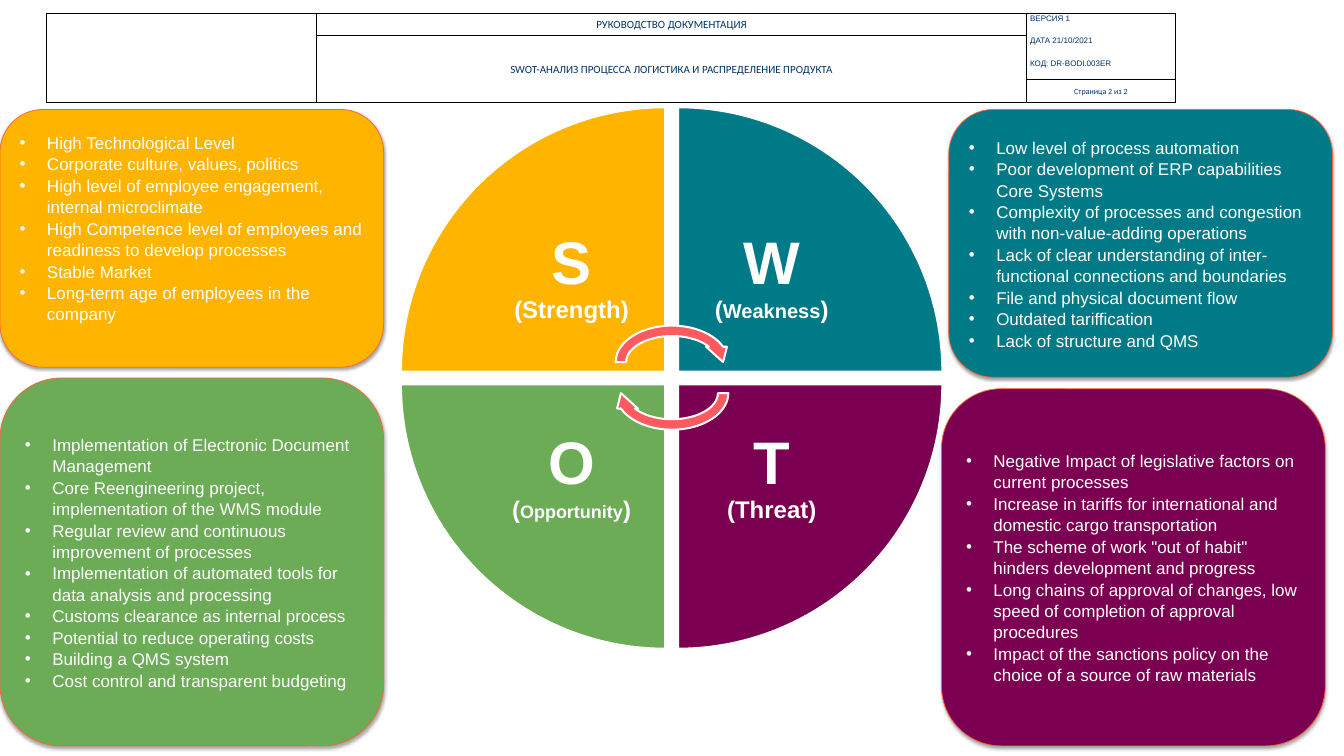
"""Build a SWOT slide: a four-part wheel, four lists and a document header table."""
from lxml import etree
from pptx import Presentation
from pptx.dml.color import RGBColor
from pptx.enum.shapes import MSO_SHAPE
from pptx.enum.text import MSO_ANCHOR, PP_ALIGN
from pptx.oxml.ns import qn
from pptx.util import Inches, Pt

WEDGE, ARROW, ROUNDED = MSO_SHAPE.PIE_WEDGE, MSO_SHAPE.CIRCULAR_ARROW, MSO_SHAPE.ROUNDED_RECTANGLE
TOP, MIDDLE = MSO_ANCHOR.TOP, MSO_ANCHOR.MIDDLE
LEFT, CENTER = PP_ALIGN.LEFT, PP_ALIGN.CENTER
WHITE = RGBColor(0xFF, 0xFF, 0xFF)
YELLOW = RGBColor(0xFF, 0xB4, 0x00)
TEAL = RGBColor(0x00, 0x7A, 0x87)
PURPLE = RGBColor(0x7B, 0x00, 0x51)
GREEN = RGBColor(0x6C, 0xAC, 0x57)
CORAL = RGBColor(0xFF, 0x5A, 0x5F)
ORANGE = RGBColor(0xFE, 0x63, 0x36)
NAVY = RGBColor(0x00, 0x33, 0x66)

QUADRANTS = [
    dict(color=YELLOW, column=0, row=0, angle=0, letter="S", word="Strength", size=24,
         panel=(0, 1.52, 5.33, 3.58), bottom_inset=0.34, items=[
             "High Technological Level",
             "Corporate culture, values, politics",
             "High level of employee engagement, internal microclimate",
             "High Competence level of employees and readiness to develop processes",
             "Stable Market",
             "Long-term age of employees in the company"]),
    dict(color=TEAL, column=1, row=0, angle=90, letter="W", word="Weakness", size=20,
         panel=(13.18, 1.52, 5.33, 3.72), bottom_inset=0.05, items=[
             "Low level of process automation",
             "Poor development of ERP capabilities Core Systems",
             "Complexity of processes and congestion with non-value-adding operations",
             "Lack of clear understanding of inter-functional connections and boundaries",
             "File and physical document flow",
             "Outdated tariffication",
             "Lack of structure and QMS"]),
    dict(color=PURPLE, column=1, row=1, angle=180, letter="T", word="Threat", size=24,
         panel=(13.08, 5.4, 5.33, 4.96), bottom_inset=0.05, items=[
             "Negative Impact of legislative factors on current processes",
             "Increase in tariffs for international and domestic cargo transportation",
             'The scheme of work "out of habit" hinders development and progress',
             "Long chains of approval of changes, low speed of completion of approval procedures",
             "Impact of the sanctions policy on the choice of a source of raw materials"]),
    dict(color=GREEN, column=0, row=1, angle=270, letter="O", word="Opportunity", size=18,
         panel=(0, 5.25, 5.33, 5.11), bottom_inset=0.05, items=[
             "Implementation of Electronic Document Management",
             "Core Reengineering project, implementation of the WMS module",
             "Regular review and continuous improvement of processes",
             "Implementation of automated tools for data analysis and processing",
             "Customs clearance as internal process",
             "Potential to reduce operating costs",
             "Building a QMS system",
             "Cost control and transparent budgeting"]),
]
HEADER_COLUMNS = [3.75, 9.86, 2.07]
HEADER_ROW = 0.31
HEADER_TEXTS = {
    (0, 1): ("РУКОВОДСТВО ДОКУМЕНТАЦИЯ", 11, "Calibri", CENTER, MIDDLE),
    (1, 1): ("SWOT-АНАЛИЗ ПРОЦЕССА ЛОГИСТИКА И РАСПРЕДЕЛЕНИЕ ПРОДУКТА", 11, "Calibri", CENTER, MIDDLE),
    (0, 2): ("ВЕРСИЯ 1", 8, "Arial", LEFT, TOP),
    (1, 2): ("ДАТА 21/10/2021", 8, "Arial", LEFT, TOP),
    (2, 2): ("КОД: DR-BODI.003ER", 8, "Arial", LEFT, TOP),
    (3, 2): ("Страница 2 из 2", 8, "Calibri", CENTER, MIDDLE),
}
OPEN_EDGES = {(0, 2): "B", (1, 2): "TB", (2, 2): "T"}
WHEEL_LEFT, WHEEL_TOP, WEDGE_SIZE, WEDGE_STEP = 5.57, 1.49, 3.67, 3.85
LABEL_SIZE, LABEL_INSET = 2.6, 0.47


def add_span(para, text, size, color, font="Arial", bold=False):
    span = para.add_run()
    span.text = text
    span.font.size, span.font.name, span.font.bold = Pt(size), font, bold
    span.font.color.rgb = color


def add_figure(page, kind, place, fill, line, width, angle=0):
    figure = page.shapes.add_shape(kind, *map(Inches, place))
    figure.shadow.inherit = False
    figure.fill.solid()
    figure.fill.fore_color.rgb = fill
    figure.line.color.rgb = line
    figure.line.width = Pt(width)
    figure.rotation = angle
    return figure


def add_soft_shadow(figure):
    effects = figure.element.spPr.find(qn("a:effectLst"))
    shadow = etree.SubElement(effects, qn("a:outerShdw"), blurRad=str(Pt(3.1)),
                              dist=str(Pt(1.8)), dir="5400000", rotWithShape="0")
    color = etree.SubElement(shadow, qn("a:srgbClr"), val="000000")
    etree.SubElement(color, qn("a:alpha"), val="35000")


def add_wedge(page, quadrant):
    left = WHEEL_LEFT + quadrant["column"] * WEDGE_STEP
    top = WHEEL_TOP + quadrant["row"] * WEDGE_STEP
    add_figure(page, WEDGE, (left, top, WEDGE_SIZE, WEDGE_SIZE),
               quadrant["color"], WHITE, 2, quadrant["angle"])
    shift = WEDGE_SIZE - LABEL_SIZE
    label = page.shapes.add_textbox(
        Inches(left + shift * (1 - quadrant["column"])),
        Inches(top + shift * (1 - quadrant["row"])), Inches(LABEL_SIZE), Inches(LABEL_SIZE))
    frame = label.text_frame
    frame.word_wrap = True
    frame.vertical_anchor = MIDDLE
    frame.margin_left = frame.margin_right = Inches(LABEL_INSET)
    frame.margin_top = frame.margin_bottom = Inches(LABEL_INSET)
    para = frame.paragraphs[0]
    para.alignment, para.line_spacing = CENTER, 0.9
    for text, size in ((quadrant["letter"] + " ", 60), ("(", 24),
                       (quadrant["word"], quadrant["size"]), (")", 24)):
        add_span(para, text, size, WHITE, bold=True)


def add_panel(page, quadrant):
    panel = add_figure(page, ROUNDED, quadrant["panel"], quadrant["color"], ORANGE, 0.75)
    add_soft_shadow(panel)
    frame = panel.text_frame
    frame.word_wrap = True
    frame.vertical_anchor = MIDDLE
    frame.margin_bottom = Inches(quadrant["bottom_inset"])
    for index, item in enumerate(quadrant["items"]):
        para = frame.add_paragraph() if index else frame.paragraphs[0]
        para.alignment, para.line_spacing = LEFT, 1.05
        add_span(para, item, 17, WHITE)
        properties = para._p.get_or_add_pPr()
        properties.set("marL", str(Inches(0.38)))
        properties.set("indent", str(-Inches(0.38)))
        etree.SubElement(properties, qn("a:buFont"), typeface="Arial")
        etree.SubElement(properties, qn("a:buChar"), char="•")


def set_borders(cell, open_edges):
    properties = cell._tc.get_or_add_tcPr()
    for index, edge in enumerate("LRTB"):
        line = etree.Element(qn("a:ln" + edge), w=str(Pt(1)))
        if edge in open_edges:
            etree.SubElement(line, qn("a:noFill"))
        else:
            solid = etree.SubElement(line, qn("a:solidFill"))
            etree.SubElement(solid, qn("a:srgbClr"), val="000000")
        properties.insert(index, line)


def add_header(page):
    header = page.shapes.add_table(4, 3, Inches(0.65), Inches(0.18),
                                   Inches(sum(HEADER_COLUMNS)), Inches(4 * HEADER_ROW)).table
    header.first_row = header.horz_banding = False
    for column, width in zip(header.columns, HEADER_COLUMNS):
        column.width = Inches(width)
    for row_index, row in enumerate(header.rows):
        row.height = Inches(HEADER_ROW)
        for column_index, cell in enumerate(row.cells):
            key = (row_index, column_index)
            cell.fill.background()
            cell.margin_left = cell.margin_right = Inches(0.05)
            cell.margin_top = cell.margin_bottom = 0
            set_borders(cell, OPEN_EDGES.get(key, ""))
            para = cell.text_frame.paragraphs[0]
            if key in HEADER_TEXTS:
                text, size, font, alignment, anchor = HEADER_TEXTS[key]
                para.alignment, para.line_spacing = alignment, 1.15
                cell.vertical_anchor = anchor
                add_span(para, text, size, NAVY, font)
            else:
                etree.SubElement(para._p, qn("a:endParaRPr"), sz="800")
    header.cell(0, 0).merge(header.cell(3, 0))
    header.cell(1, 1).merge(header.cell(3, 1))


deck = Presentation()
deck.slide_width, deck.slide_height = Inches(18.67), Inches(10.5)
page = deck.slides.add_slide(deck.slide_layouts[6])
for quadrant in QUADRANTS:
    add_wedge(page, quadrant)
for top, angle in ((4.45, 0), (4.88, 180)):
    add_figure(page, ARROW, (8.48, top, 1.71, 1.16), CORAL, WHITE, 2, angle)
for quadrant in QUADRANTS:
    add_panel(page, quadrant)
add_header(page)
deck.save("out.pptx")
